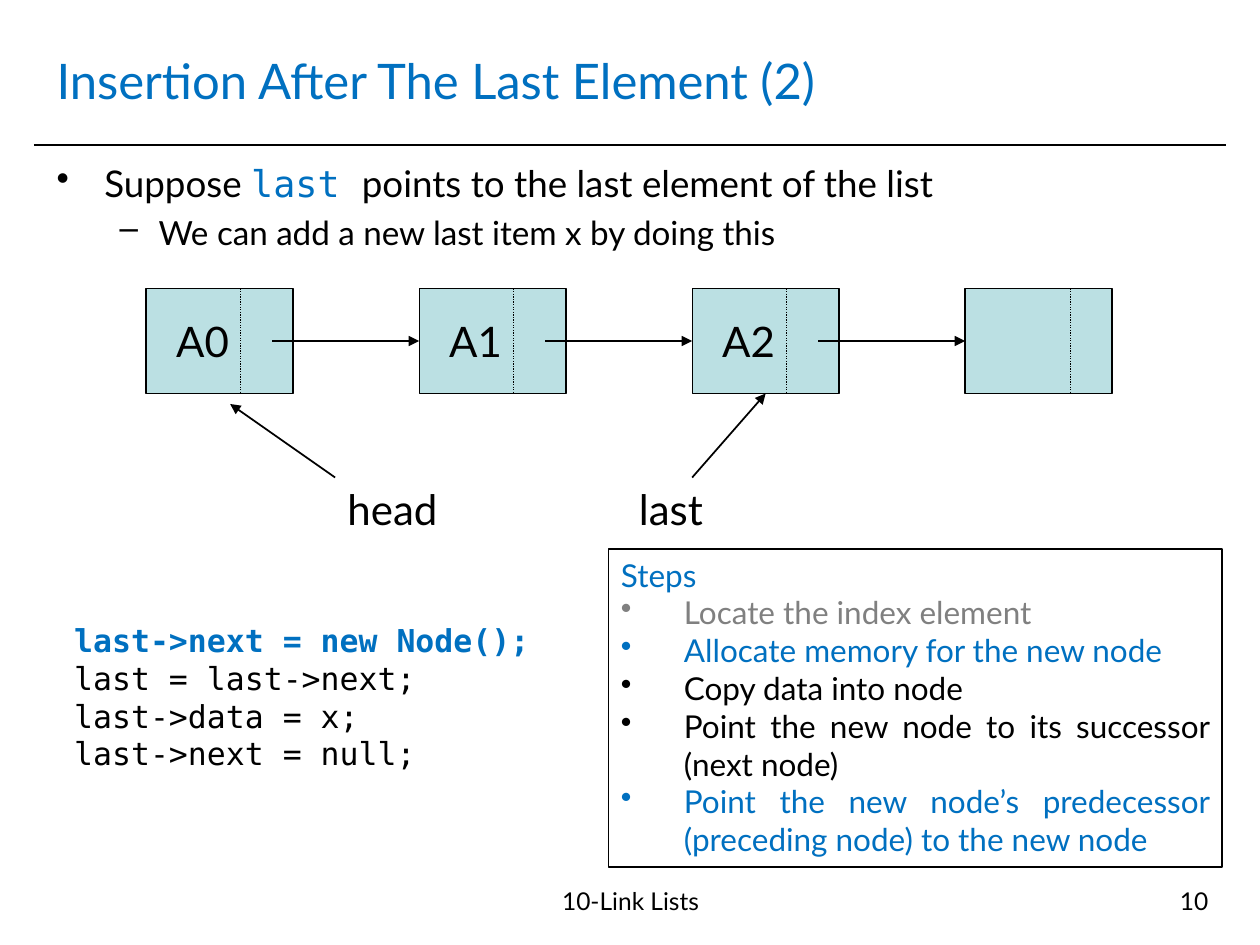
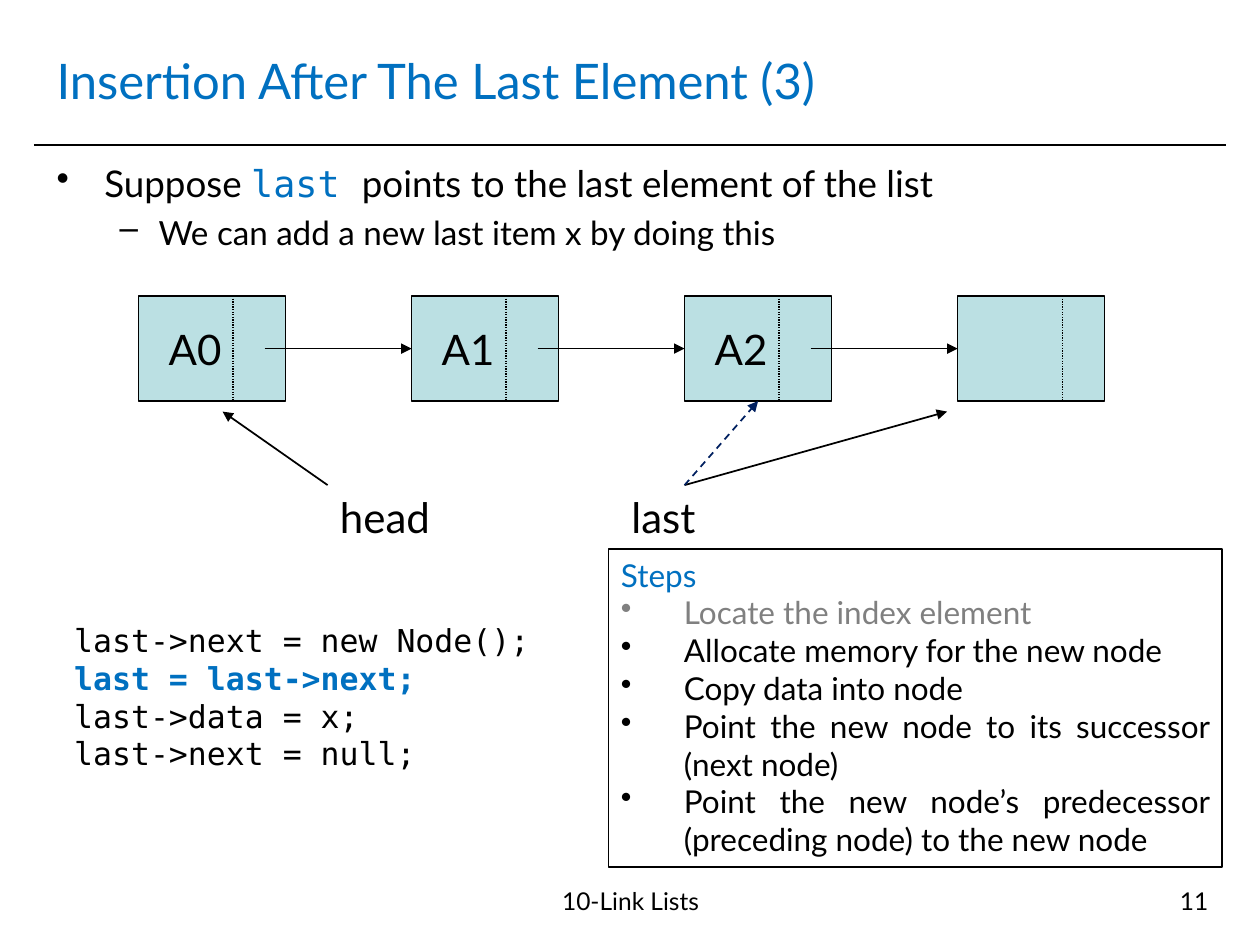
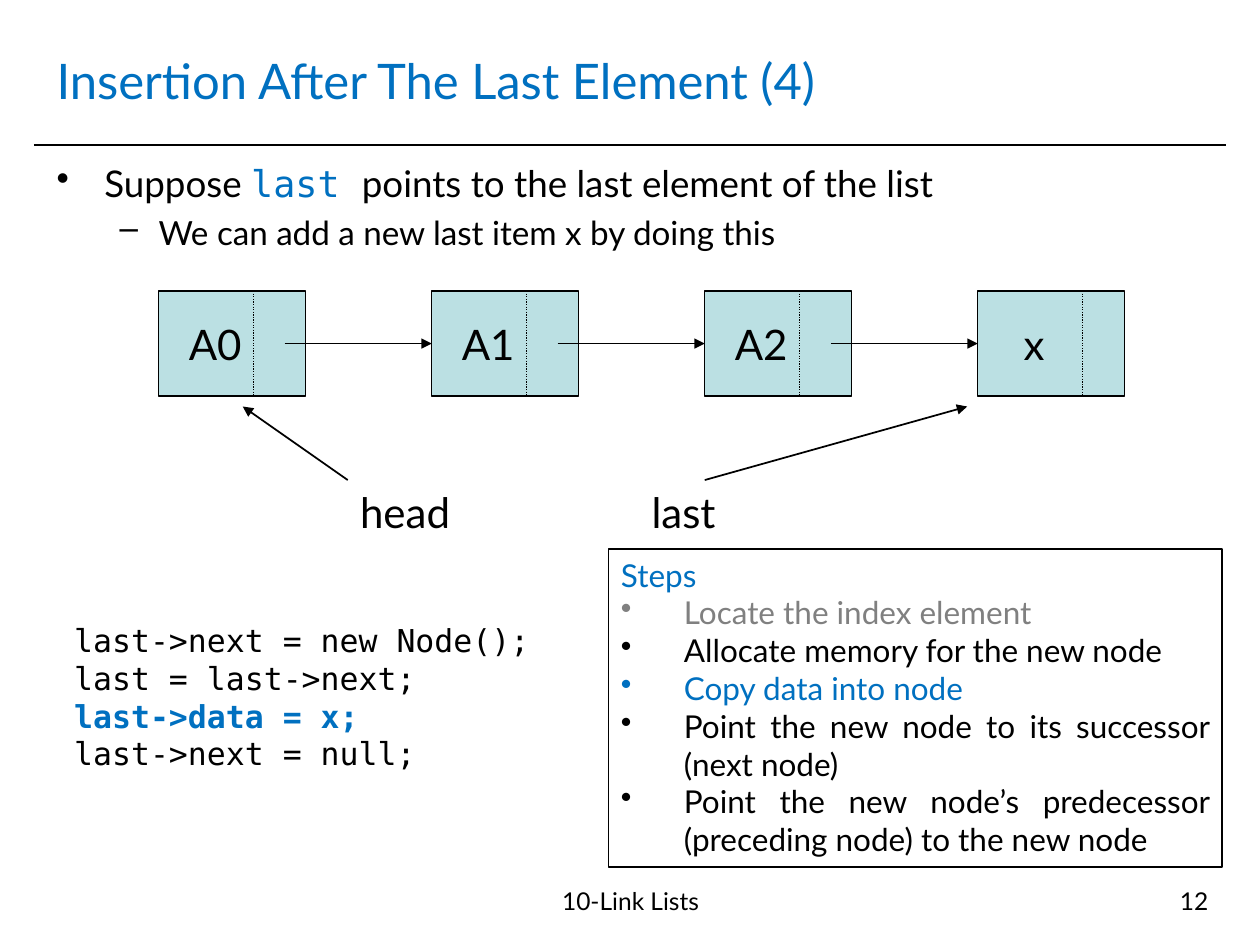
from lxml import etree
from pptx import Presentation
from pptx import util as u
from pptx.dml.color import RGBColor
from pptx.enum import dml, shapes, text
from pptx.oxml import ns

# Shared look
BLACK = RGBColor(0x00, 0x00, 0x00)
BLUE = RGBColor(0x00, 0x70, 0xC0)
NAVY = RGBColor(0x00, 0x20, 0x60)
GREY = RGBColor(0x80, 0x80, 0x80)
TEAL = RGBColor(0xBB, 0xE0, 0xE3)
SANS, MONO = "Lato", "DejaVu Sans Mono"
WIDTH, HEIGHT = 10, 7.5
LEFT, CENTER, RIGHT, JUSTIFY = (
    text.PP_ALIGN.LEFT, text.PP_ALIGN.CENTER, text.PP_ALIGN.RIGHT, text.PP_ALIGN.JUSTIFY)
DASH = dml.MSO_LINE.DASH
DOTS = dml.MSO_LINE.ROUND_DOT

# Places: left, top, width, height
TITLE_AT = (0.35, 0.21, 9.29, 0.85)
INTRO_AT = (0.35, 1.23, 9.29, 0.91)
CODE_AT = (0.49, 4.88, 4.02, 1.31)
STEPS_AT = (4.83, 4.36, 4.87, 2.52)
FOOTER_AT = (3.35, 6.98, 3.31, 0.52)
NUMBER_AT = (7.36, 6.98, 2.33, 0.52)
RULE_Y, RULE_MARGIN = 1.15, 0.27

# Linked-list diagram, in grid units of a twelfth of an inch
UNIT = 1 / 12
NODE_W, NODE_H, PITCH = 14, 10, 26
DIVIDER, LAST_DIVIDER, LINK_START = 9, 10, 12
LABEL_Y = 18
HEAD_X, LAST_X, LAST_LABEL_X = 18, 52, 45.75
HEAD_TIP, OLD_LAST_TIP, NEW_LAST_TIP = (8, 11), (59, 10), (77, 11)

# Content
TITLE = "Insertion After The Last Element ({})"
FOOTER = "10-Link Lists"
INTRO = [
    dict(runs=[("Suppose ", {}), ("last ", dict(name=MONO, color=BLUE)),
               ("points to the last element of the list", {})],
         size=21, bullet="•", indent=(0.38, 0.38)),
    dict(runs=[("We can add a new last item x by doing this", {})],
         size=19, bullet="–", indent=(0.81, 0.31), before=3.8, level=1),
]
CODE = ["last->next = new Node();", "last = last->next;",
        "last->data = x;", "last->next = null;"]
STEPS = [
    "Locate the index element",
    "Allocate memory for the new node",
    "Copy data into node",
    "Point the new node to its successor (next node)",
    "Point the new node’s predecessor (preceding node) to the new node",
]
DONE_STEP = 0
SLIDES = [
    dict(part=2, number=10, origin=(1.16, 2.29), new_item="", code_line=0,
         active_steps=(1, 4), last_arrows=[(OLD_LAST_TIP, BLACK, None)]),
    dict(part=3, number=11, origin=(1.1, 2.35), new_item="", code_line=1,
         active_steps=(), last_arrows=[(NEW_LAST_TIP, BLACK, None),
                                       (OLD_LAST_TIP, NAVY, DASH)]),
    dict(part=4, number=12, origin=(1.26, 2.31), new_item="x", code_line=2,
         active_steps=(2,), last_arrows=[(NEW_LAST_TIP, BLACK, None)]),
]


def write(frame, paragraphs, anchor=text.MSO_ANCHOR.TOP, wrap=True):
    """Fill a text frame from a list of paragraph dicts."""
    frame.word_wrap, frame.vertical_anchor = wrap, anchor
    for i, item in enumerate(paragraphs):
        para = frame.add_paragraph() if i else frame.paragraphs[0]
        para.alignment = item.get("align", LEFT)
        para.level = item.get("level", 0)
        if "bullet" in item:
            margin, hang = item["indent"]
            props = para._p.get_or_add_pPr()
            props.set("marL", str(u.Inches(margin)))
            props.set("indent", str(-u.Inches(hang)))
            etree.SubElement(props, ns.qn("a:buChar"), char=item["bullet"])
        if "before" in item:
            para.space_before = u.Pt(item["before"])
        for words, changes in item["runs"]:
            look = dict(name=SANS, size=item["size"], color=BLACK, bold=False) | changes
            run = para.add_run()
            run.text = words
            run.font.color.rgb = look.pop("color")
            look["size"] = u.Pt(look["size"])
            for key, value in look.items():
                setattr(run.font, key, value)


def plain(words, size, align=LEFT, **look):
    return dict(runs=[(words, look)], size=size, align=align)


def add_text(slide, at, paragraphs, **options):
    box = slide.shapes.add_textbox(*map(u.Inches, at))
    write(box.text_frame, paragraphs, **options)


def add_box(slide, at, weight, fill=None):
    box = slide.shapes.add_shape(shapes.MSO_SHAPE.RECTANGLE, *map(u.Inches, at))
    box.shadow.inherit = False
    if fill is None:
        box.fill.background()
    else:
        box.fill.solid()
        box.fill.fore_color.rgb = fill
    box.line.color.rgb = BLACK
    box.line.width = u.Pt(weight)
    return box


def add_line(slide, start, end, weight=1, color=BLACK, dash=None, arrow=False):
    line = slide.shapes.add_connector(
        shapes.MSO_CONNECTOR.STRAIGHT, *map(u.Inches, (*start, *end)))
    line.line.color.rgb = color
    line.line.width = u.Pt(weight)
    if dash:
        line.line.dash_style = dash
    if arrow:
        etree.SubElement(line.line._get_or_add_ln(), ns.qn("a:tailEnd"), type="triangle")
    etree.SubElement(line._element.spPr, ns.qn("a:effectLst"))


def add_frame(slide, part, number):
    """Rule, title, introduction and footer."""
    add_line(slide, (RULE_MARGIN, RULE_Y), (WIDTH - RULE_MARGIN, RULE_Y))
    add_text(slide, TITLE_AT, [plain(TITLE.format(part), 28, color=BLUE)],
             anchor=text.MSO_ANCHOR.MIDDLE)
    add_text(slide, INTRO_AT, INTRO)
    add_text(slide, FOOTER_AT, [plain(FOOTER, 14, CENTER)])
    add_text(slide, NUMBER_AT, [plain(str(number), 14, RIGHT)])


def add_code(slide, active):
    add_text(slide, CODE_AT, [
        plain(line, 18, name=MONO, bold=i == active, color=BLUE if i == active else BLACK)
        for i, line in enumerate(CODE)])


def add_steps(slide, active):
    colors = {DONE_STEP: GREY} | dict.fromkeys(active, BLUE)
    steps = [plain(step, 18, JUSTIFY, color=colors.get(i, BLACK))
             | dict(bullet="•", indent=(0.5, 0.5)) for i, step in enumerate(STEPS)]
    write(add_box(slide, STEPS_AT, 1).text_frame,
          [plain("Steps", 18, color=BLUE)] + steps)


def add_list(slide, origin, new_item, last_arrows):
    """Nodes, links between them, and the head and last pointers."""
    def at(column, row):
        return origin[0] + column * UNIT, origin[1] + row * UNIT

    items = ["A0", "A1", "A2", new_item]
    for i, item in enumerate(items):
        x, newest = i * PITCH, i == len(items) - 1
        node = add_box(slide, (*at(x, 0), NODE_W * UNIT, NODE_H * UNIT), 0.75, TEAL)
        if item:
            node.text_frame.margin_right = u.Inches(0.37)
            write(node.text_frame, [plain(item, 24, CENTER)],
                  anchor=text.MSO_ANCHOR.MIDDLE)
        split = x + (LAST_DIVIDER if newest else DIVIDER)
        add_line(slide, at(split, 0), at(split, NODE_H), 0.75, dash=DOTS)
    for i in range(len(items) - 1):
        add_line(slide, at(i * PITCH + LINK_START, NODE_H / 2),
                 at((i + 1) * PITCH, NODE_H / 2), arrow=True)

    for name, x, width in (("head", HEAD_X, 0.93), ("last", LAST_LABEL_X, 0.72)):
        add_text(slide, (*at(x, LABEL_Y), width, 0.5), [plain(name, 24)], wrap=False)
    add_line(slide, at(HEAD_X, LABEL_Y), at(*HEAD_TIP), arrow=True)
    for tip, color, dash in last_arrows:
        add_line(slide, at(LAST_X, LABEL_Y), at(*tip), color=color, dash=dash, arrow=True)


def main():
    deck = Presentation()
    deck.slide_width, deck.slide_height = u.Inches(WIDTH), u.Inches(HEIGHT)
    for page in SLIDES:
        slide = deck.slides.add_slide(deck.slide_layouts[6])
        add_frame(slide, page["part"], page["number"])
        add_code(slide, page["code_line"])
        add_steps(slide, page["active_steps"])
        add_list(slide, page["origin"], page["new_item"], page["last_arrows"])
    deck.save("out.pptx")


if __name__ == "__main__":
    main()
